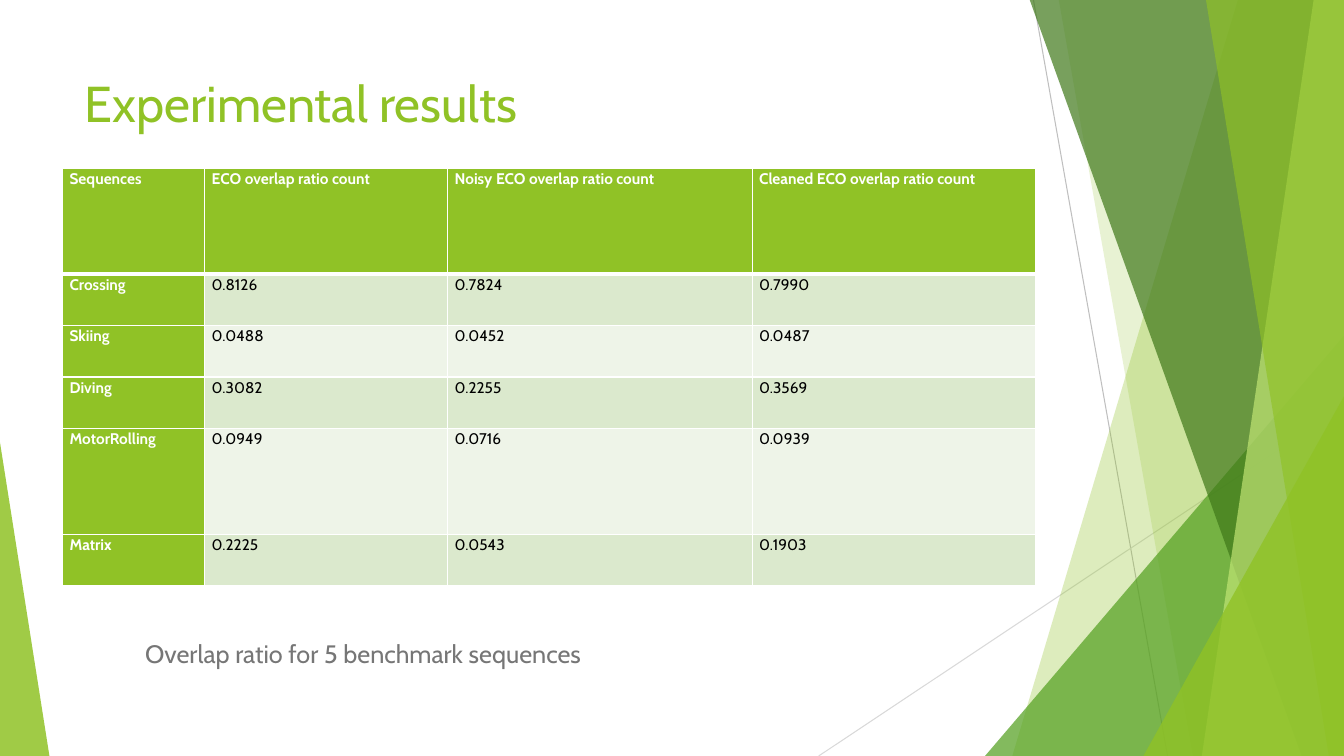
from dataclasses import dataclass

from lxml.etree import SubElement
from pptx import Presentation
from pptx.dml.color import RGBColor
from pptx.enum.shapes import MSO_CONNECTOR as Connector, MSO_SHAPE as Preset
from pptx.enum.text import MSO_ANCHOR as Anchor, MSO_AUTO_SIZE as AutoSize, PP_ALIGN as Align
from pptx.oxml.ns import qn
from pptx.util import Inches, Pt


@dataclass(frozen=True)
class Theme:
    font: str = "Cabin"
    title_size: int = 36
    caption_size: int = 18
    cell_size: int = 11
    white: str = "FFFFFF"
    black: str = "000000"
    grey: str = "767676"
    green: str = "90C226"
    leaf: str = "54A021"
    forest: str = "3F7819"
    lime: str = "C0E474"
    line_dark: str = "BFBFBF"
    line_light: str = "D9D9D9"
    bands: tuple = ("DBE9CD", "EEF4E8")


def color(value):
    return RGBColor.from_string(value)


def apply_format(target, values):
    for name, value in values.items():
        setattr(target, name, value)


class SlideBuilder:
    def __init__(self, slide, theme):
        self.slide = slide
        self.shapes = slide.shapes
        self.theme = theme

    def add_text(self, frame, text, size, font_color, bold=False, spacing=None):
        paragraph = frame.paragraphs[0]
        apply_format(paragraph, {"alignment": Align.LEFT, "line_spacing": spacing})
        run = paragraph.add_run()
        run.text = text
        apply_format(run.font, {"name": self.theme.font, "size": Pt(size), "bold": bold})
        run.font.color.rgb = color(font_color)

    def line(self, start, end, line_color):
        connector = self.shapes.add_connector(
            Connector.STRAIGHT, *map(Inches, (*start, *end)))
        connector.line.width = Pt(0.75)
        connector.line.color.rgb = color(line_color)
        SubElement(connector._element.spPr, qn("a:effectLst"))

    def paint(self, shape, fill_color, opacity):
        shape.shadow.inherit = False
        shape.line.fill.background()
        shape.fill.solid()
        shape.fill.fore_color.rgb = color(fill_color)
        tint = shape._element.spPr.find(f"{qn('a:solidFill')}/{qn('a:srgbClr')}")
        SubElement(tint, qn("a:alpha"), val=str(opacity * 1000))

    def facet(self, points, fill_color, opacity):
        first, *others = [(Inches(x), Inches(y)) for x, y in points]
        builder = self.shapes.build_freeform(*first)
        builder.add_line_segments(others, close=True)
        self.paint(builder.convert_to_shape(), fill_color, opacity)

    def triangle(self, box, apex, fill_color, opacity):
        shape = self.shapes.add_shape(Preset.ISOSCELES_TRIANGLE, *map(Inches, box))
        shape.adjustments[0] = apex
        self.paint(shape, fill_color, opacity)

    def title(self, text, box):
        title = self.shapes.title
        apply_format(title, dict(zip(("left", "top", "width", "height"), map(Inches, box))))
        apply_format(title.text_frame, {
            "word_wrap": True, "auto_size": AutoSize.NONE, "vertical_anchor": Anchor.TOP})
        self.add_text(title.text_frame, text, self.theme.title_size, self.theme.green)

    def caption(self, text, box):
        frame = self.shapes.add_textbox(*map(Inches, box)).text_frame
        apply_format(frame, {"word_wrap": True, "auto_size": AutoSize.SHAPE_TO_FIT_TEXT})
        self.add_text(frame, text, self.theme.caption_size, self.theme.grey)

    def border(self, cell, side, width):
        properties = cell._tc.get_or_add_tcPr()
        line = SubElement(properties, qn(f"a:ln{side}"), w=str(Pt(width)))
        fill = SubElement(line, qn("a:solidFill"))
        SubElement(fill, qn("a:srgbClr"), val=self.theme.white)

    def cell(self, cell, text, row, column):
        theme = self.theme
        heading = row == 0 or column == 0
        apply_format(cell, {
            "margin_left": Inches(0.07), "margin_right": Inches(0.07),
            "margin_top": 0, "margin_bottom": 0, "vertical_anchor": Anchor.TOP})
        widths = {"L": 1, "R": 1, "T": 3 if row == 1 else 1, "B": 3 if row == 0 else 1}
        for side, width in widths.items():
            self.border(cell, side, width)
        cell.fill.solid()
        cell.fill.fore_color.rgb = color(theme.green if heading else theme.bands[(row - 1) % 2])
        self.add_text(cell.text_frame, text, theme.cell_size,
                      theme.white if heading else theme.black, heading, 1.07)

    def table(self, rows, box, widths, heights):
        table = self.shapes.add_table(len(rows), len(widths), *map(Inches, box)).table
        for column, width in zip(table.columns, widths):
            column.width = Inches(width)
        for row, height in zip(table.rows, heights):
            row.height = Inches(height)
        for row_index, values in enumerate(rows):
            for column_index, text in enumerate(values):
                self.cell(table.cell(row_index, column_index), text, row_index, column_index)


RESULTS = [
    ("Sequences", "ECO overlap ratio count", "Noisy ECO overlap ratio count",
     "Cleaned ECO overlap ratio count"),
    ("Crossing", "0.8126", "0.7824", "0.7990"),
    ("Skiing", "0.0488", "0.0452", "0.0487"),
    ("Diving", "0.3082", "0.2255", "0.3569"),
    ("MotorRolling", "0.0949", "0.0716", "0.0939"),
    ("Matrix", "0.2225", "0.0543", "0.1903"),
]


def draw_backdrop(builder):
    theme = builder.theme
    right, top, bottom = 13.33, -0.01, 7.5

    def band(upper_left, lower_left, fill_color, opacity):
        builder.facet([(upper_left, top), (right, top), (right, bottom), (lower_left, bottom)],
                      fill_color, opacity)

    builder.line((10.25, 0), (11.58, bottom), theme.line_dark)
    builder.line((right, 4.03), (8.12, bottom), theme.line_light)
    band(12.28, 10.04, theme.green, 30)
    band(10.5, 11.83, theme.green, 20)
    builder.triangle((9.77, 3.33, 3.56, 4.17), 1, theme.leaf, 72)
    band(10.21, 12.91, theme.forest, 70)
    band(13.03, 11.92, theme.lime, 70)
    band(11.96, 13.18, theme.green, 65)
    builder.triangle((11.34, 3.93, 1.99, 3.57), 1, theme.green, 80)
    builder.triangle((0, 4.39, 0.49, 3.11), 0, theme.green, 85)


def main():
    presentation = Presentation()
    apply_format(presentation, {"slide_width": Inches(13.33), "slide_height": Inches(7.5)})
    slide = presentation.slides.add_slide(presentation.slide_layouts.get_by_name("Title Only"))
    builder = SlideBuilder(slide, Theme())
    draw_backdrop(builder)
    builder.title("Experimental results", (0.74, 0.67, 9.4, 1.44))
    builder.table(RESULTS, (0.62, 1.67, 9.64, 4.16),
                  (1.41, 2.41, 3.02, 2.81), (1.05, 0.51, 0.51, 0.51, 1.05, 0.51))
    builder.caption("Overlap ratio for 5 benchmark sequences", (1.34, 6.28, 7.29, 0.71))
    presentation.save("out.pptx")


if __name__ == "__main__":
    main()
